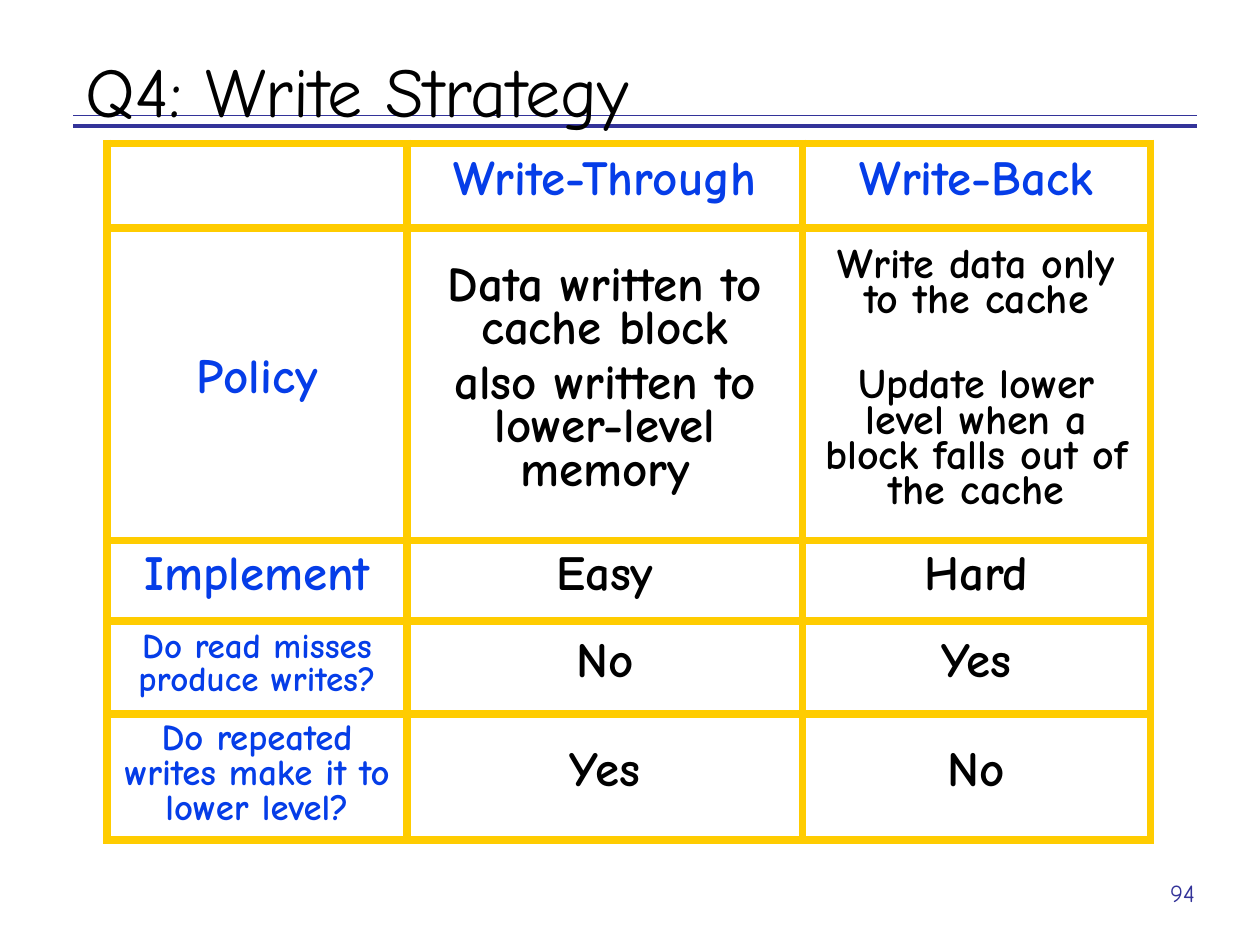
"""Build a slide comparing write-through and write-back cache strategies."""
from dataclasses import dataclass

from lxml.etree import SubElement
from pptx import Presentation
from pptx.dml.color import RGBColor
from pptx.enum.shapes import MSO_CONNECTOR
from pptx.enum.text import MSO_ANCHOR, PP_ALIGN
from pptx.oxml.ns import qn
from pptx.slide import Slide
from pptx.table import _Cell as Cell
from pptx.util import Pt

FONT = "Comic Neue"
BLACK = RGBColor(0x00, 0x00, 0x00)
BLUE = RGBColor(0x05, 0x3D, 0xE8)
NAVY = RGBColor(0x33, 0x33, 0x99)
GOLD = RGBColor(0xFF, 0xCC, 0x00)
BORDER = 5
COLS = (171.4, 226, 198.8)
ROWS = (48.2, 178.6, 46, 53.2, 72)


@dataclass(frozen=True)
class Entry:
    paragraphs: tuple[str, ...]
    color: RGBColor = BLACK
    size: float = 28
    leading: float = 25
    gap: float = 6


@dataclass(frozen=True)
class Label:
    text: str
    box: tuple[float, float, float, float]
    size: float
    color: RGBColor
    align: PP_ALIGN


@dataclass(frozen=True)
class Rule:
    y: float
    width: float


def heading(text: str, size: float = 28, leading: float = 25) -> Entry:
    return Entry((text,), BLUE, size, leading)


GRID = (
    (None, heading("Write-Through"), heading("Write-Back")),
    (
        heading("Policy"),
        Entry(("Data written to cache block", "also written to lower-level memory")),
        Entry(
            ("Write data only to the cache",
             "Update lower level when a block falls out of the cache"),
            size=24, leading=20, gap=29,
        ),
    ),
    (heading("Implement"), Entry(("Easy",)), Entry(("Hard",))),
    (heading("Do read misses produce writes?", 20, 19), Entry(("No",)), Entry(("Yes",))),
    (heading("Do repeated writes make it to lower level?", 21, 20),
     Entry(("Yes",)), Entry(("No",))),
)
RULES = (Rule(66.2, 0.75), Rule(72, 2.75))
LABELS = (
    Label("94", (600, 498.2, 90, 23.8), 14, NAVY, PP_ALIGN.RIGHT),
    Label("Q4: Write Strategy", (42, 43.2, 642, 35.3), 40, BLACK, PP_ALIGN.LEFT),
)


def draw_rule(s: Slide, rule: Rule) -> None:
    line = s.shapes.add_connector(
        MSO_CONNECTOR.STRAIGHT, Pt(42), Pt(rule.y), Pt(684), Pt(rule.y))
    line.line.color.rgb = NAVY
    line.line.width = Pt(rule.width)
    SubElement(line._element.spPr, qn("a:effectLst"))


def draw_label(s: Slide, label: Label) -> None:
    tf = s.shapes.add_textbox(*map(Pt, label.box)).text_frame
    tf.word_wrap = True
    tf.vertical_anchor = MSO_ANCHOR.BOTTOM
    p = tf.paragraphs[0]
    p.text = label.text
    p.alignment = label.align
    p.font.name = FONT
    p.font.size = Pt(label.size)
    p.font.color.rgb = label.color


def style_cell(cell: Cell) -> None:
    tc_pr = cell._tc.get_or_add_tcPr()
    for side in ("lnL", "lnR", "lnT", "lnB"):
        ln = SubElement(tc_pr, qn(f"a:{side}"), w=str(Pt(BORDER)))
        fill = SubElement(ln, qn("a:solidFill"))
        SubElement(fill, qn("a:srgbClr"), val=str(GOLD))
    cell.fill.background()
    cell.vertical_anchor = MSO_ANCHOR.MIDDLE


def fill_cell(cell: Cell, entry: Entry) -> None:
    tf = cell.text_frame
    for i, text in enumerate(entry.paragraphs):
        p = tf.add_paragraph() if i else tf.paragraphs[0]
        p.text = text
        p.alignment = PP_ALIGN.CENTER
        p.line_spacing = Pt(entry.leading)
        p.space_before = Pt(entry.gap if i else 0)
        p.font.name = FONT
        p.font.size = Pt(entry.size)
        p.font.bold = True
        p.font.color.rgb = entry.color


def draw_table(s: Slide) -> None:
    table = s.shapes.add_table(
        len(ROWS), len(COLS), Pt(61.2), Pt(82), Pt(sum(COLS)), Pt(sum(ROWS))).table
    table.first_row = table.horz_banding = False
    for column, width in zip(table.columns, COLS):
        column.width = Pt(width)
    for row, height, entries in zip(table.rows, ROWS, GRID):
        row.height = Pt(height)
        for cell, entry in zip(row.cells, entries):
            style_cell(cell)
            if entry:
                fill_cell(cell, entry)


def main() -> None:
    prs = Presentation()
    prs.slide_width, prs.slide_height = Pt(720), Pt(540)
    s = prs.slides.add_slide(prs.slide_layouts[6])
    for rule in RULES:
        draw_rule(s, rule)
    draw_table(s)
    for label in LABELS:
        draw_label(s, label)
    prs.save("out.pptx")


if __name__ == "__main__":
    main()
